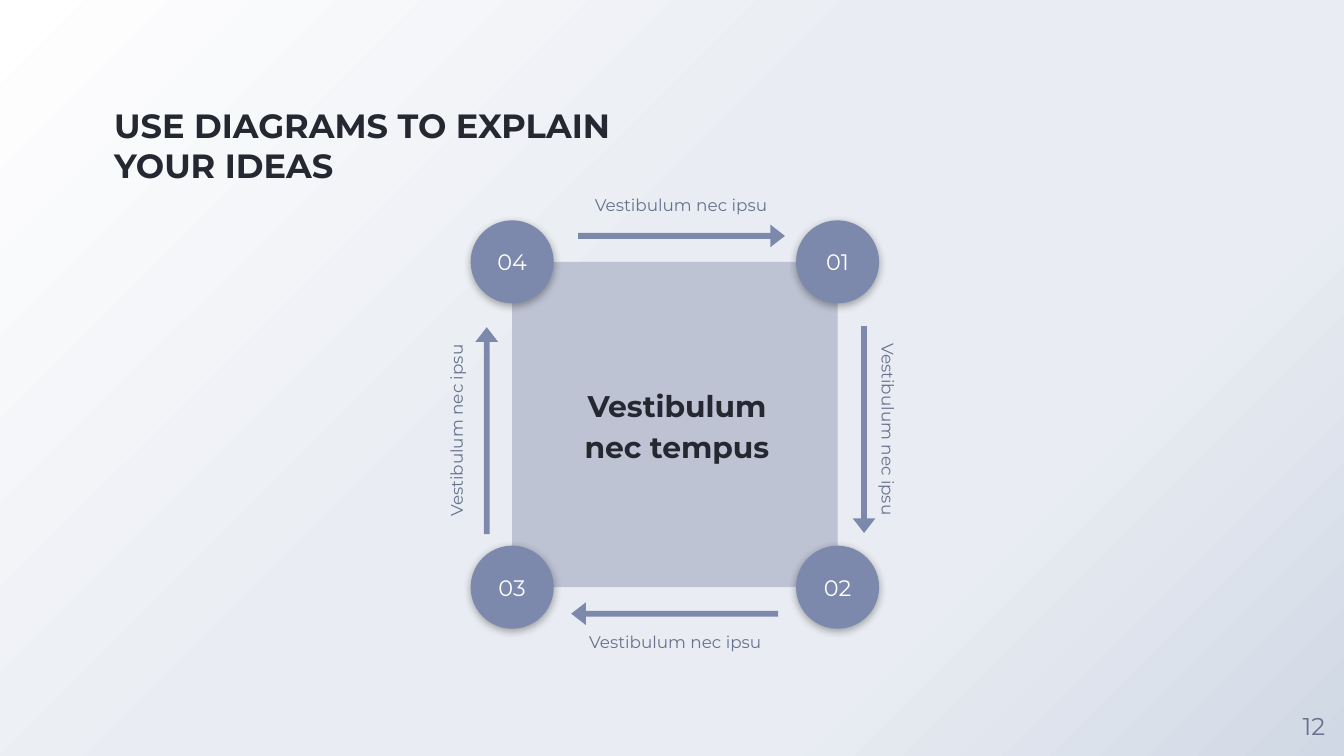
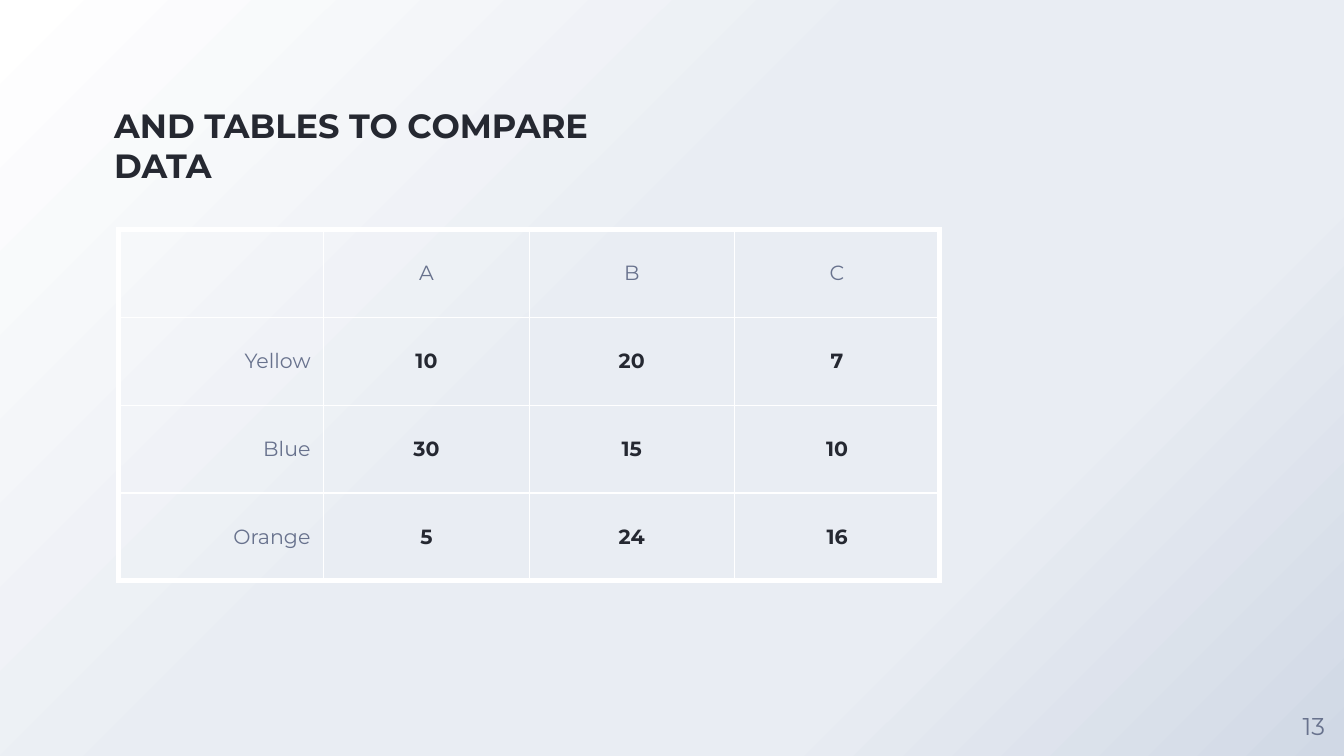
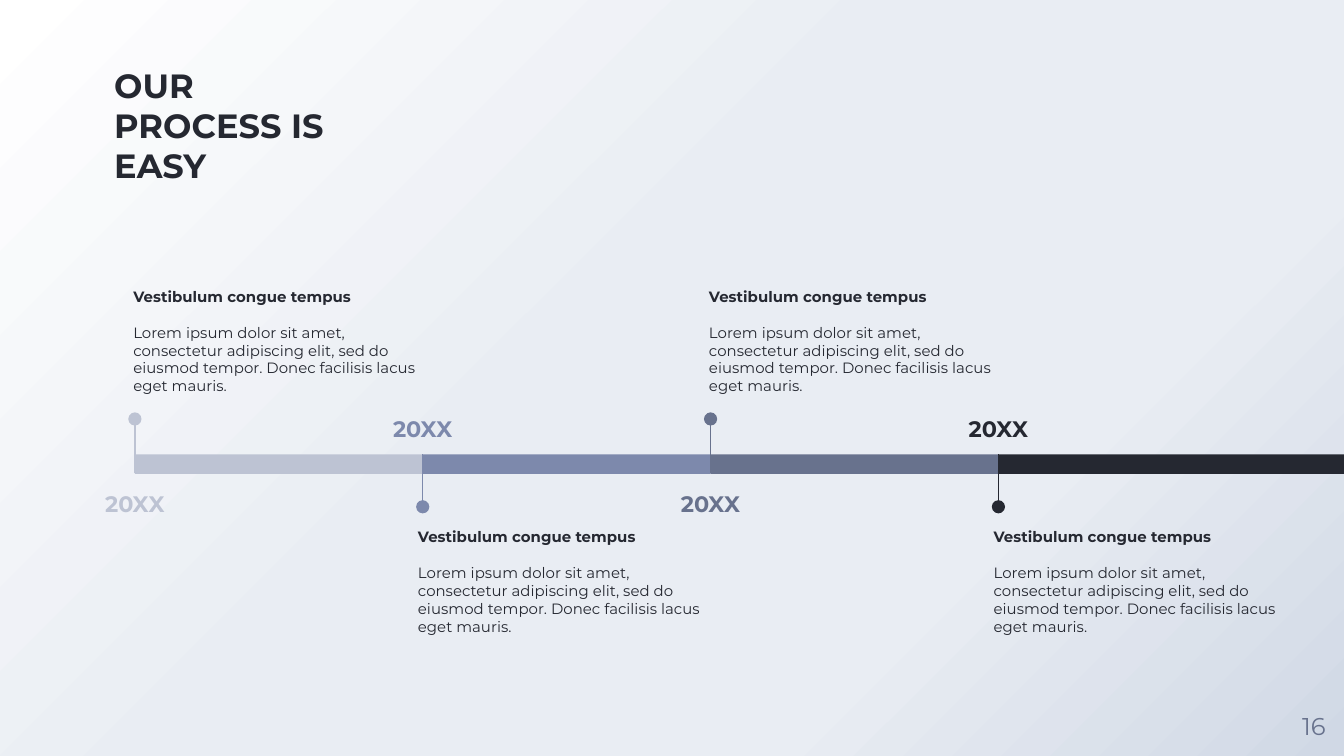
from lxml.etree import SubElement, Element
from pptx import Presentation
from pptx.dml.color import RGBColor
from pptx.enum.shapes import MSO_CONNECTOR, MSO_SHAPE as SHAPE
from pptx.enum.text import MSO_ANCHOR as ANCHOR, PP_ALIGN as ALIGN
from pptx.oxml.ns import qn
from pptx.util import Cm, Pt

# Shared look
rgb = RGBColor.from_string
FONT = "Montserrat"
DARK, SLATE, BLUE, PALE, WHITE = "252831", "68728D", "7D89AC", "BDC3D3", "FFFFFF"
BACKDROP = [(0, WHITE), (44, "E9EDF3"), (72, "E9EDF3"), (100, "D0D8E5")]
W, H = 25.4, 14.29


def add_box(s, x, y, w, h, kind=None, color=None, inset=0.25, anchor=ANCHOR.TOP):
    """Add a filled preset shape, or a text box when no kind is given."""
    area = Cm(x), Cm(y), Cm(w), Cm(h)
    if kind is None:
        sp = s.shapes.add_textbox(*area)
    else:
        sp = s.shapes.add_shape(kind, *area)
        sp.shadow.inherit = False
        sp.fill.solid()
        sp.fill.fore_color.rgb = rgb(color)
        sp.line.fill.background()
    tf = sp.text_frame
    tf.word_wrap = True
    tf.vertical_anchor = anchor
    tf.margin_left = tf.margin_right = tf.margin_top = tf.margin_bottom = Cm(inset)
    return sp


def write(tf, text, size, color, bold=False, align=ALIGN.CENTER, spacing=None):
    """Write one paragraph, using the first one while it is empty."""
    p = tf.paragraphs[0] if not tf.paragraphs[0].runs else tf.add_paragraph()
    p.alignment = align
    p.line_spacing = spacing
    r = p.add_run()
    r.text = text
    r.font.name, r.font.size, r.font.bold = FONT, Pt(size), bold
    r.font.color.rgb = rgb(color)
    return p


prs = Presentation()
prs.slide_width, prs.slide_height = Cm(W), Cm(H)

# Diagonal gradient on the master
master = prs.slide_master
fill = master.background.fill
fill.gradient()
fill.gradient_angle = 315
stops = next(master.element.iter(qn("a:gsLst")))
for stop in list(stops):
    stops.remove(stop)
for pos, color in BACKDROP:
    stop = SubElement(stops, qn("a:gs"), pos=str(pos * 1000))
    SubElement(stop, qn("a:srgbClr"), val=color)

# Slides with title and page number
slides = []
for title, width, number in [
    ("USE DIAGRAMS TO EXPLAIN YOUR IDEAS", 9.96, "12"),
    ("AND TABLES TO COMPARE DATA", 9.96, "13"),
    ("OUR PROCESS IS EASY", 4.62, "16"),
]:
    s = prs.slides.add_slide(prs.slide_layouts[6])
    sp = add_box(s, 2.16, 1.12, width, 2.39, inset=0, anchor=ANCHOR.BOTTOM)
    write(sp.text_frame, title, 18, DARK, True, ALIGN.LEFT)
    sp = add_box(s, W - 1.14, H - 1.14, 1.14, 1.14, inset=0, anchor=ANCHOR.MIDDLE)
    write(sp.text_frame, number, 13, SLATE)
    slides.append(s)
diagram, comparison, process = slides

# Diagram: central square
left, top, side = 9.68, 4.95, 6.15
add_box(diagram, left, top, side, side, SHAPE.RECTANGLE, PALE)
sp = add_box(diagram, 10.46, 5.84, 4.67, 4.32, anchor=ANCHOR.MIDDLE)
write(sp.text_frame, "Vestibulum nec tempus", 16, DARK, True, spacing=1.15)

# Diagram: arrows around the square, given by their centres, with labels
arrow_w, arrow_h, label_w, label_h = 3.91, 0.43, 3.86, 0.99
for ax, ay, arrow_turn, lx, ly, label_turn in [
    (16.33, 8.12, 90, 16.76, 8.12, 90),
    (12.75, 11.6, 180, 12.76, 12.15, 0),
    (9.2, 8.14, 270, 8.65, 8.14, 270),
    (12.88, 4.46, 0, 12.87, 3.9, 0),
]:
    sp = add_box(diagram, lx - label_w / 2, ly - label_h / 2, label_w, label_h)
    sp.rotation = label_turn
    write(sp.text_frame, "Vestibulum nec ipsu", 9, SLATE, spacing=1.15)
    sp = add_box(diagram, ax - arrow_w / 2, ay - arrow_h / 2, arrow_w, arrow_h,
                 SHAPE.RIGHT_ARROW, BLUE)
    sp.adjustments[0], sp.adjustments[1] = 0.255, 0.643
    sp.rotation = arrow_turn

# Diagram: numbered circles on the corners, with a soft shadow
d = 1.57
corners = [(1, 0), (1, 1), (0, 1), (0, 0)]
for i, (col, row) in enumerate(corners, 1):
    sp = add_box(diagram, left + col * side - d / 2, top + row * side - d / 2, d, d,
                 SHAPE.OVAL, BLUE, anchor=ANCHOR.MIDDLE)
    write(sp.text_frame, f"{i:02}", 12, WHITE)
    effects = sp.element.spPr.find(qn("a:effectLst"))
    shadow = SubElement(effects, qn("a:outerShdw"), blurRad=str(Pt(4.5)),
                        dist=str(Pt(1.5)), dir="5400000", algn="bl", rotWithShape="0")
    tint = SubElement(shadow, qn("a:srgbClr"), val="212121")
    SubElement(tint, qn("a:alpha"), val="38000")

# Comparison table
rows = [
    ("", "A", "B", "C"),
    ("Yellow", "10", "20", "7"),
    ("Blue", "30", "15", "10"),
    ("Orange", "5", "24", "16"),
]
last = len(rows) - 1
table = comparison.shapes.add_table(4, 4, Cm(2.24), Cm(4.34), Cm(15.52), Cm(6.64)).table
table.first_row = table.horz_banding = False
for i, row in enumerate(rows):
    table.rows[i].height = Cm(1.66)
    table.columns[i].width = Cm(3.88)
    for j, text in enumerate(row):
        cell = table.cell(i, j)
        cell.fill.background()
        cell.vertical_anchor = ANCHOR.MIDDLE
        cell.margin_left = cell.margin_right = Cm(0.25)
        cell.margin_top = cell.margin_bottom = Cm(0.18)
        if text:
            value = i > 0 and j > 0
            write(cell.text_frame, text, 11, DARK if value else SLATE, value,
                  ALIGN.CENTER if j else ALIGN.RIGHT)
        # Thick outer frame, thin inner lines
        outer = [("L", j == 0), ("R", j == last), ("T", i == 0), ("B", i == last)]
        tc_pr = cell._tc.get_or_add_tcPr()
        for k, (edge, thick) in enumerate(outer):
            ln = Element(qn("a:ln" + edge), w=str(Pt(3 if thick else 0.75)))
            SubElement(SubElement(ln, qn("a:solidFill")), qn("a:srgbClr"), val=WHITE)
            tc_pr.insert(k, ln)

# Process timeline: texts alternate above and below the bar
start, step, bar_y, bar_h, dot = 2.55, 5.44, 8.59, 0.37, 0.25
for i, color in enumerate([PALE, BLUE, SLATE, DARK]):
    x = start + i * step
    above = i % 2 == 0
    width = step if i < 3 else W - x
    if above:
        line_y1, line_y2, dot_y, year_y, text_x, text_y = 7.92, 8.94, 7.92, 8.94, x - 0.28, 5.18
    else:
        line_y1, line_y2, dot_y, year_y, text_x, text_y = 8.59, 9.58, 9.58, 7.52, x - 0.34, 9.73
    add_box(process, x, bar_y, width, bar_h, SHAPE.RECTANGLE, color)
    line = process.shapes.add_connector(MSO_CONNECTOR.STRAIGHT, Cm(x), Cm(line_y1),
                                        Cm(x), Cm(line_y2))
    line.line.color.rgb = rgb(color)
    line.line.width = Pt(0.75)
    SubElement(line.element.spPr, qn("a:effectLst"))
    add_box(process, x - dot / 2, dot_y - dot / 2, dot, dot, SHAPE.OVAL, color)
    sp = add_box(process, x - 1.05, year_y, 2.1, 1.04)
    write(sp.text_frame, "20XX", 12, color, True, spacing=1.15)
    tf = add_box(process, text_x, text_y, 6.25, 2.62).text_frame
    p = write(tf, "Vestibulum congue tempus", 8, DARK, True, ALIGN.LEFT)
    p.space_after = Pt(9.75)
    write(tf, "Lorem ipsum dolor sit amet, consectetur adipiscing elit, sed do eiusmod "
          "tempor. Donec facilisis lacus eget mauris.", 8, DARK, False, ALIGN.LEFT)

prs.save("out.pptx")
